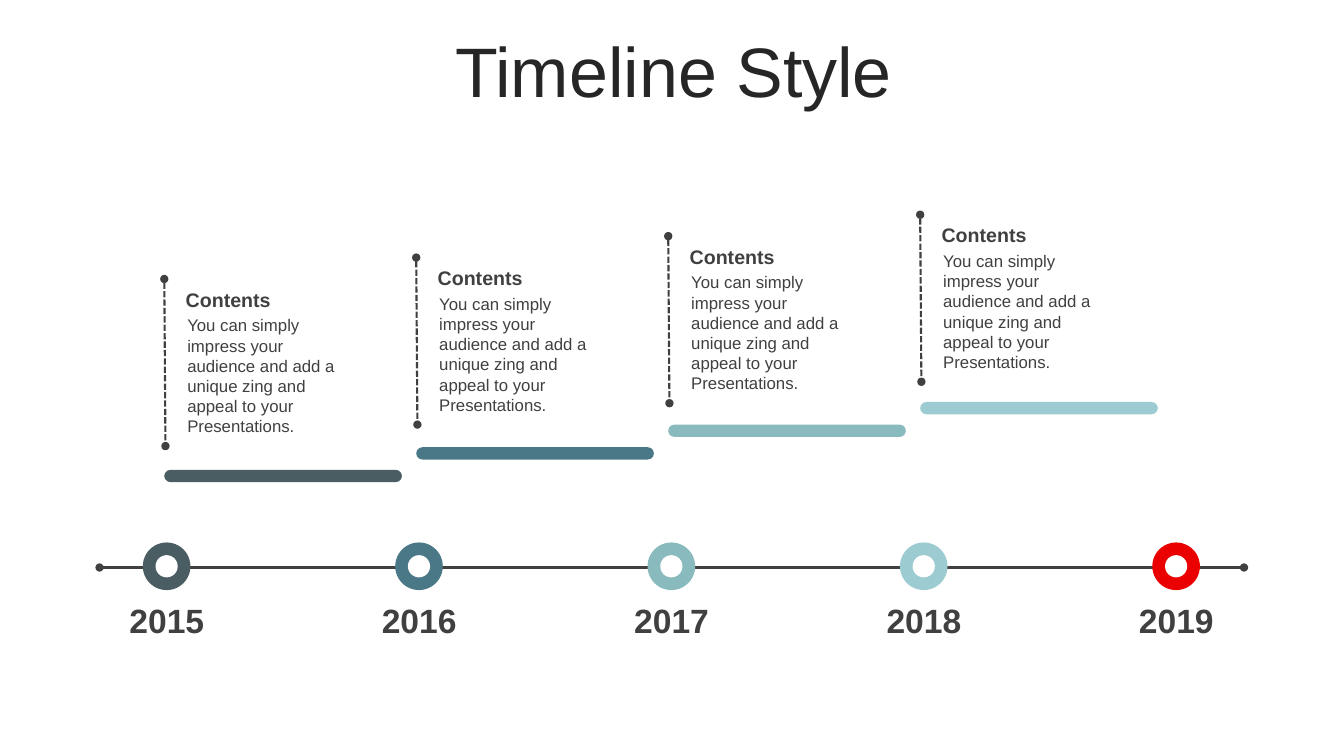
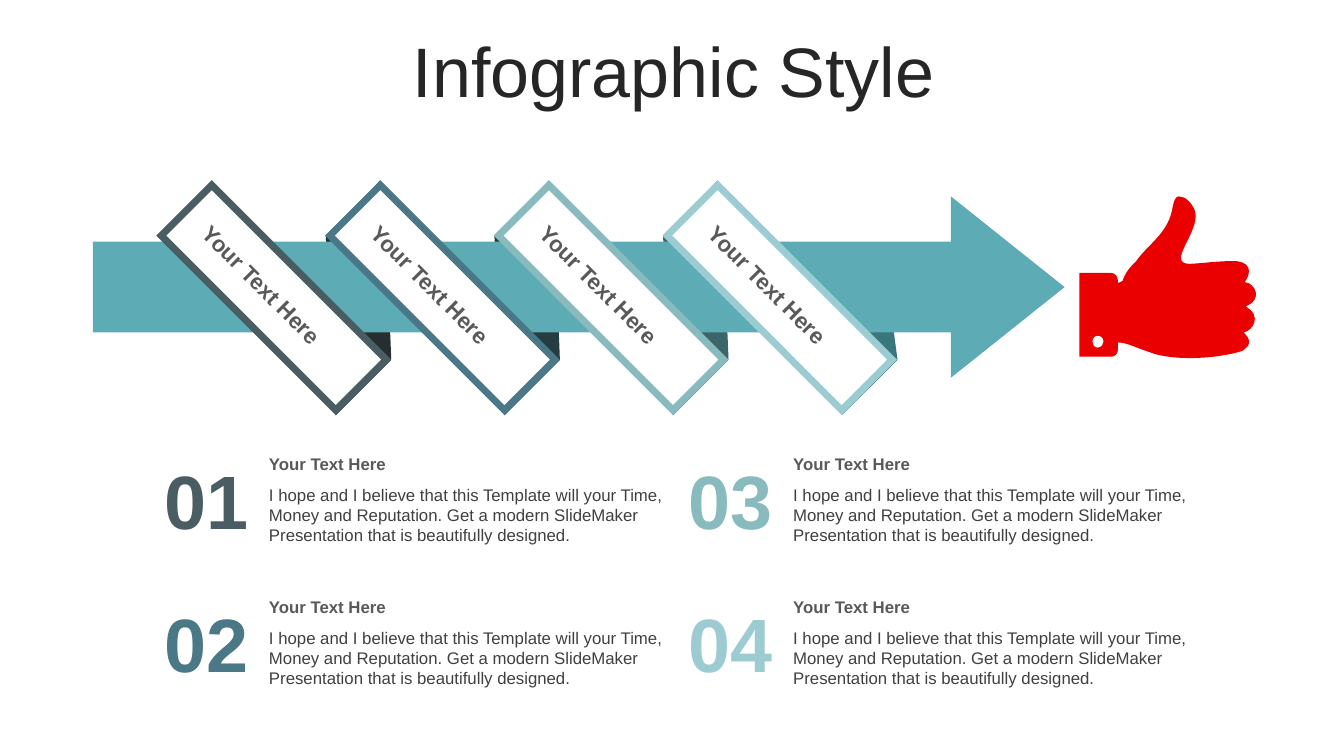
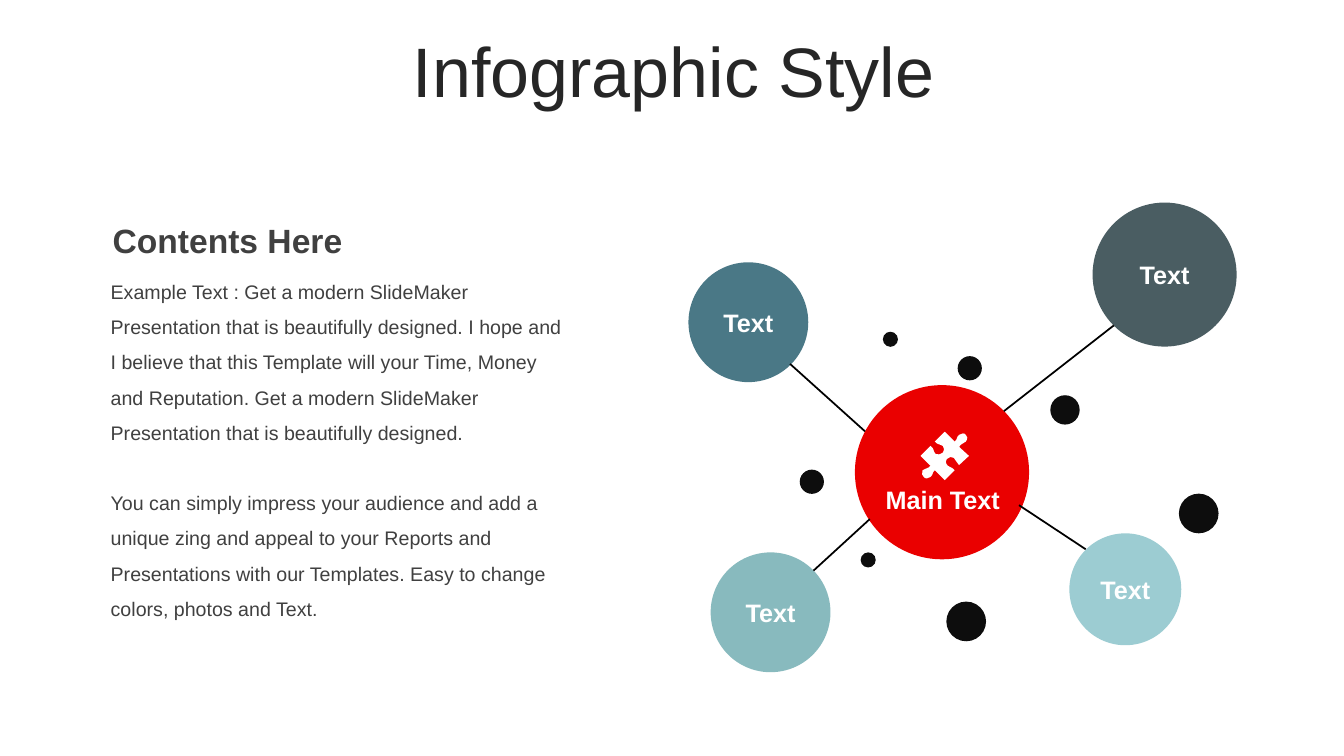
from itertools import chain

from lxml import etree
from pptx import Presentation
from pptx.dml.color import RGBColor
from pptx.enum.dml import MSO_LINE
from pptx.enum.shapes import MSO_CONNECTOR, MSO_SHAPE
from pptx.enum.text import MSO_ANCHOR, PP_ALIGN
from pptx.oxml.ns import qn
from pptx.util import Cm, Pt

# Shared style
FONT = "Arial"
WHITE = RGBColor(0xFF, 0xFF, 0xFF)
BLACK = RGBColor(0x00, 0x00, 0x00)
INK = RGBColor(0x0D, 0x0D, 0x0D)
DARK = RGBColor(0x26, 0x26, 0x26)
GREY = RGBColor(0x40, 0x40, 0x40)
SOFT = RGBColor(0x59, 0x59, 0x59)
RED = RGBColor(0xEA, 0x00, 0x00)
TEAL = RGBColor(0x5D, 0xAC, 0xB5)
SLATE = RGBColor(0x4A, 0x5D, 0x62)
BLUE = RGBColor(0x4A, 0x78, 0x86)
SAGE = RGBColor(0x88, 0xBA, 0xBE)
SKY = RGBColor(0x9C, 0xCC, 0xD2)
THEME = (SLATE, BLUE, SAGE, SKY)
SHADES = (RGBColor(0x25, 0x2E, 0x31), RGBColor(0x25, 0x3C, 0x43),
          RGBColor(0x3A, 0x66, 0x69), RGBColor(0x39, 0x76, 0x7E))

LEFT, CENTER = PP_ALIGN.LEFT, PP_ALIGN.CENTER
TOP, MIDDLE = MSO_ANCHOR.TOP, MSO_ANCHOR.MIDDLE
OVAL, RECT = MSO_SHAPE.OVAL, MSO_SHAPE.RECTANGLE
ROUND, ARROW = MSO_SHAPE.ROUNDED_RECTANGLE, MSO_SHAPE.RIGHT_ARROW
STRAIGHT, DASHED = MSO_CONNECTOR.STRAIGHT, MSO_LINE.SQUARE_DOT

# Wording
STEP = ("You can simply impress your audience and add a unique zing "
        "and appeal to your Presentations.")
MODERN = ("Get a modern SlideMaker Presentation that is "
          "beautifully designed.")
HOPE = ("I hope and I believe that this Template will your Time, "
        "Money and Reputation. " + MODERN)
STORY = ("Example Text : " + MODERN + " " + HOPE,
         "You can simply impress your audience and add a unique zing and "
         "appeal to your Reports and Presentations with our Templates. "
         "Easy to change colors, photos and Text.")

# Outlines in cm: pairs are corners, sixes are Bézier curves
FOLD = [(0, 1.4), (0.25, 5.92), (1.65, 4.52),
        (1.6, 2.95, 1.5, 2.26, 1.37, 0), (0.94, 0.48, 0.43, 0.97, 0, 1.4)]
END_FOLD = [(-0.47, 2.36), (1.36, 2.26), (1.66, 4.52), (0.27, 5.9),
            (-0.01, 4.75, -0.17, 3.51, -0.47, 2.36)]
BUTTON = [(0.46, 3.51), (0.38, 3.51, 0.33, 3.58, 0.33, 3.66),
          (0.33, 3.73, 0.38, 3.81, 0.46, 3.81),
          (0.56, 3.81, 0.61, 3.73, 0.61, 3.66),
          (0.61, 3.58, 0.56, 3.51, 0.46, 3.51)]
THUMB = [(2.51, 0), (2.67, 0, 2.84, 0.15, 2.92, 0.38),
         (3.05, 0.89, 2.18, 1.68, 2.77, 1.7),
         (3.2, 1.68, 3.43, 1.63, 3.89, 1.63),
         (4.29, 1.63, 4.37, 1.88, 4.17, 2.16),
         (4.42, 2.18, 4.65, 2.59, 4.19, 2.77),
         (4.62, 3.02, 4.37, 3.38, 4.14, 3.43),
         (4.34, 3.61, 4.32, 3.76, 4.11, 3.89),
         (3.63, 4.06, 2.41, 4.19, 1.73, 3.91),
         (1.42, 3.81, 1.19, 3.68, 0.97, 3.68), (0.97, 3.89),
         (0.97, 3.96, 0.89, 4.04, 0.81, 4.04),
         (0, 4.04), (0, 1.93), (0.81, 1.93),
         (0.89, 1.93, 0.97, 2.01, 0.97, 2.11), (0.97, 2.18),
         (0.99, 2.18, 1.04, 2.16, 1.09, 2.13),
         (1.14, 1.98, 1.22, 1.83, 1.42, 1.65),
         (1.75, 1.17, 2.26, 0.94, 2.36, 0.23),
         (2.39, 0.08, 2.44, 0, 2.51, 0)]
PUZZLE = [(1.14, 0.08), (1.19, 0.1, 1.19, 0.18, 1.14, 0.25),
          (1.09, 0.3, 1.04, 0.28, 0.97, 0.38), (1.22, 0.61), (0.97, 0.84),
          (0.89, 0.79, 0.91, 0.71, 0.84, 0.66),
          (0.79, 0.61, 0.71, 0.64, 0.66, 0.69),
          (0.64, 0.71, 0.61, 0.79, 0.69, 0.86),
          (0.76, 0.91, 0.79, 0.89, 0.86, 0.97), (0.61, 1.22), (0.36, 0.97),
          (0.28, 1.04, 0.33, 1.07, 0.25, 1.14),
          (0.2, 1.19, 0.1, 1.19, 0.08, 1.14),
          (0.03, 1.12, 0.03, 1.04, 0.05, 0.97),
          (0.13, 0.91, 0.18, 0.94, 0.25, 0.86), (0, 0.61), (0.25, 0.36),
          (0.36, 0.43, 0.3, 0.48, 0.38, 0.56),
          (0.43, 0.58, 0.51, 0.58, 0.56, 0.53),
          (0.58, 0.51, 0.61, 0.43, 0.56, 0.36),
          (0.46, 0.3, 0.43, 0.33, 0.36, 0.25), (0.61, 0), (0.86, 0.25),
          (0.94, 0.18, 0.89, 0.15, 0.97, 0.08),
          (1.02, 0.03, 1.12, 0.03, 1.14, 0.08)]


# Basic parts; all lengths in cm
def write(frame, texts, size, color, bold=False, align=LEFT, anchor=TOP,
          inset=(0.25, 0.13), lead=None, gap=0):
    frame.word_wrap = True
    frame.vertical_anchor = anchor
    frame.margin_left = frame.margin_right = Cm(inset[0])
    frame.margin_top = frame.margin_bottom = Cm(inset[1])
    for i, text in enumerate(texts):
        para = frame.add_paragraph() if i else frame.paragraphs[0]
        para.text = text
        para.alignment = align
        if lead:
            para.line_spacing = lead
        if i and gap:
            para.space_before = Pt(gap)
        font = para.font
        font.name, font.size, font.bold = FONT, Pt(size), bold
        font.color.rgb = color


def label(slide, x, y, w, h, text, size, color, **style):
    box = slide.shapes.add_textbox(Cm(x), Cm(y), Cm(w), Cm(h))
    texts = (text,) if isinstance(text, str) else text
    write(box.text_frame, texts, size, color, **style)
    return box


def paint(shape, fill, edge=None, width=0):
    shape.shadow.inherit = False
    shape.fill.solid()
    shape.fill.fore_color.rgb = fill
    if edge is None:
        shape.line.fill.background()
    else:
        shape.line.color.rgb = edge
        shape.line.width = Pt(width)
        line = shape.element.spPr.find(qn("a:ln"))
        etree.SubElement(line, qn("a:miter"), lim="800000")
    return shape


def block(slide, kind, x, y, w, h, fill, edge=None, width=0):
    shape = slide.shapes.add_shape(kind, Cm(x), Cm(y), Cm(w), Cm(h))
    return paint(shape, fill, edge, width)


def disc(slide, x, y, size, fill):
    """Circle about the centre x, y."""
    return block(slide, OVAL, x - size / 2, y - size / 2, size, size, fill)


def wire(slide, x1, y1, x2, y2, color, width, dash=None, knobs=False):
    link = slide.shapes.add_connector(STRAIGHT, Cm(x1), Cm(y1),
                                      Cm(x2), Cm(y2))
    link.line.color.rgb = color
    link.line.width = Pt(width)
    if dash:
        link.line.dash_style = dash
    props = link.element.spPr
    if knobs:
        for tag in ("a:headEnd", "a:tailEnd"):
            etree.SubElement(props.find(qn("a:ln")), qn(tag), type="oval")
    etree.SubElement(props, qn("a:effectLst"))


def bend(shape, parts):
    """Join the three points of each curve into one Bézier segment."""
    nodes = iter(list(shape.element.iter(qn("a:moveTo"), qn("a:lnTo"))))
    for part in parts:
        head, *tail = [next(nodes) for _ in range(len(part) // 2)]
        if tail:
            head.tag = qn("a:cubicBezTo")
        for node in tail:
            head.append(node[0])
            node.getparent().remove(node)


def figure(slide, x, y, fill, *outlines):
    pen = None
    for parts in outlines:
        flat = list(chain(*parts))
        start, *rest = [(Cm(x + px), Cm(y + py))
                        for px, py in zip(flat[::2], flat[1::2])]
        if pen is None:
            pen = slide.shapes.build_freeform(*start, scale=1.0)
        else:
            pen.move_to(*start)
        pen.add_line_segments(rest)
    shape = paint(pen.convert_to_shape(), fill)
    bend(shape, chain(*outlines))


def page(deck, title):
    slide = deck.slides.add_slide(deck.slide_layouts[6])
    label(slide, 0.9, 0.94, 32.16, 2, title, 50, DARK, align=CENTER,
          anchor=MIDDLE, lead=0.8)
    return slide


# Timeline
def axis(slide, x, y, w):
    wire(slide, x, y, x + w, y, GREY, 1.75, knobs=True)
    for i, color in enumerate(THEME + (RED,)):
        mid = x + 1.69 + 6.36 * i
        disc(slide, mid, y - 0.03, 1.2, color)
        disc(slide, mid, y - 0.03, 0.56, WHITE)
        label(slide, mid - 1.52, y + 0.81, 3.05, 1.02, str(2015 + i), 24,
              GREY, bold=True, align=CENTER, inset=(0, 0))


def card(slide, x, y, w, h, color):
    bar = block(slide, ROUND, x, y + h - 0.31, w, 0.31, color)
    bar.adjustments[0] = 0.5
    label(slide, x + 0.33, y + 0.78, 4.37, 3.33, STEP, 12, GREY)
    label(slide, x + 0.24, y + 0.09, 4.39, 0.86, "Contents", 14, GREY,
          bold=True, inset=(0.3, 0.13))
    wire(slide, x, y, x + 0.03, y + 4.21, GREY, 1.5, DASHED, True)


# Arrow wrapped in ribbons
def ribbons(slide, x, y, w, h):
    pitch = 4.25
    for i, shade in enumerate(SHADES):
        outline = END_FOLD if i == 3 else FOLD
        figure(slide, x + 5.87 + pitch * i, y - 0.4, shade, outline)
    arrow = block(slide, ARROW, x, y, w, h, TEAL)
    arrow.adjustments[0], arrow.adjustments[1] = 0.5, 0.627
    for i, color in enumerate(THEME):
        left = x + 1.45 + pitch * i
        band = block(slide, RECT, left, y + 1.65, 6.22, 1.8, WHITE, color, 5)
        band.rotation = 45
        text = label(slide, left + 0.45, y + 2.09, 5.38, 0.94,
                     "Your Text Here", 16, SOFT, bold=True)
        text.rotation = 45


def item(slide, x, y, number, color):
    label(slide, x, y, 2.82, 2.57, f"{number:02}", 54, color, bold=True,
          align=CENTER)
    label(slide, x + 2.74, y + 0.78, 10.46, 1.8, HOPE, 12, GREY)
    label(slide, x + 2.74, y, 10.39, 0.76, "Your Text Here", 12, SOFT,
          bold=True)


# Text column and network
def column(slide, x, y, w):
    label(slide, x, y + 1.21, w, 9.12, STORY, 14, GREY, inset=(0.2, 0.13),
          lead=1.5, gap=25)
    label(slide, x, y, w, 1.27, "Contents Here", 24, GREY, bold=True)


def network(slide, x, y):
    disc(slide, x + 6.39, y + 6.79, 4.39, RED)
    nodes = ((12, 1.81, 3.63), (1.51, 3.01, 3.02),
             (2.07, 10.32, 3.02), (11.01, 9.74, 2.82))
    for (cx, cy, size), color in zip(nodes, THEME):
        node = disc(slide, x + cx, y + cy, size, color)
        write(node.text_frame, ("Text",), 18, WHITE, bold=True,
              align=CENTER, anchor=MIDDLE)
    links = ((2.56, 4.06, 4.45, 5.76), (3.15, 9.27, 4.57, 7.97),
             (7.95, 5.25, 10.72, 3.09), (8.33, 7.62, 10.01, 8.73))
    for x1, y1, x2, y2 in links:
        wire(slide, x + x1, y + y1, x + x2, y + y2, BLACK, 1.25)
    dots = ((7, 10.55, 1), (9.49, 5.22, 0.74), (5.09, 3.44, 0.38),
            (3.11, 7.03, 0.61), (12.86, 7.83, 1), (7.09, 4.17, 0.61),
            (4.53, 9, 0.38))
    for cx, cy, size in dots:
        disc(slide, x + cx, y + cy, size, INK)
    label(slide, x + 4.24, y + 6.96, 4.34, 1.02, "Main Text", 18, WHITE,
          bold=True, align=CENTER)
    figure(slide, x + 5.85, y + 5.77, WHITE, PUZZLE)


def main():
    deck = Presentation()
    deck.slide_width, deck.slide_height = Cm(33.87), Cm(19.05)

    slide = page(deck, "Timeline Style")
    axis(slide, 2.51, 14.3, 28.84)
    for i, color in enumerate(THEME):
        card(slide, 4.14 + 6.35 * i, 7.03 - 0.54 * i, 5.99,
             5.12 - 0.03 * i, color)

    slide = page(deck, "Infographic Style")
    ribbons(slide, 2.34, 4.95, 24.49, 4.57)
    figure(slide, 27.2, 4.95, RED, THUMB, BUTTON)
    for i, color in enumerate(THEME):
        col, row = divmod(i, 2)
        item(slide, 3.79 + 13.21 * col, 11.3 + 3.61 * row, i + 1, color)

    slide = page(deck, "Infographic Style")
    column(slide, 2.59, 5.41, 11.94)
    network(slide, 17.35, 5.11)

    deck.save("out.pptx")


if __name__ == "__main__":
    main()
